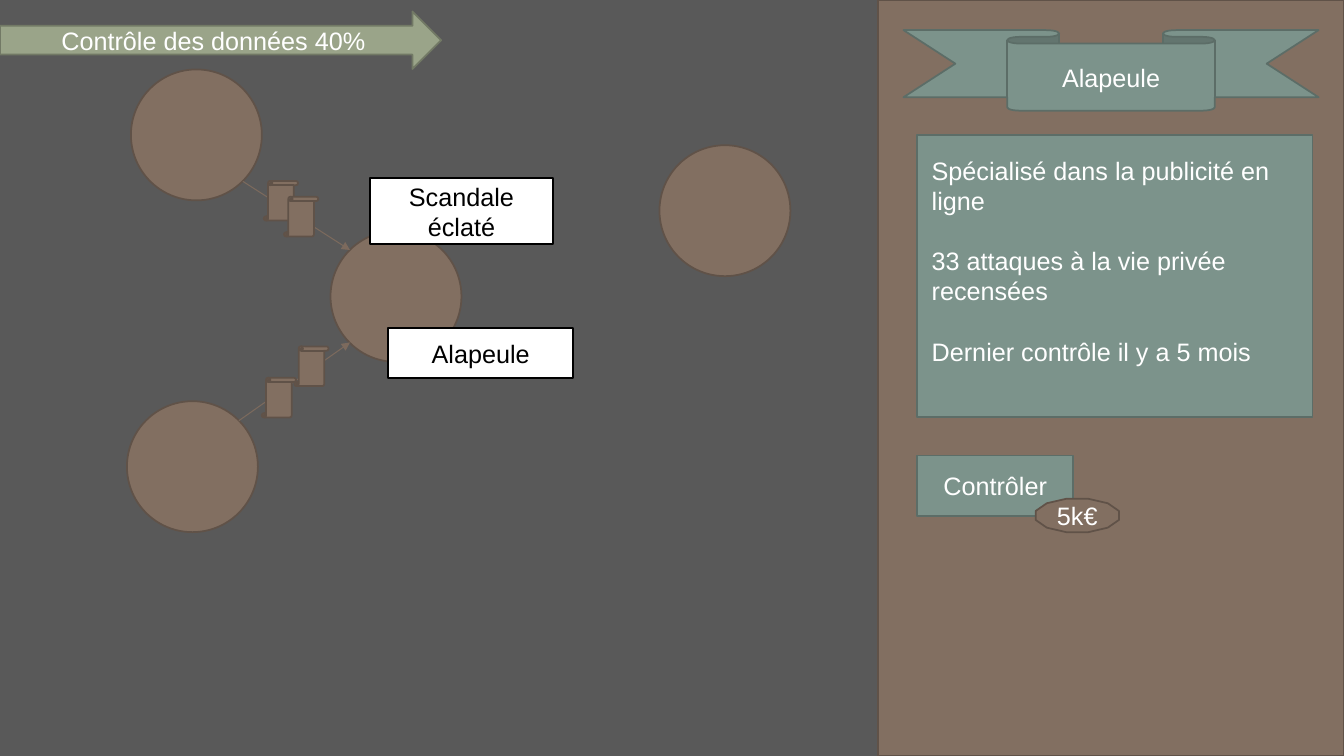
from pptx import Presentation
from pptx.dml.color import RGBColor
from pptx.enum.shapes import MSO_CONNECTOR, MSO_SHAPE
from pptx.enum.text import MSO_ANCHOR, PP_ALIGN
from pptx.oxml.ns import qn
from pptx.util import Cm, Pt
from lxml.etree import SubElement

COLORS = {
    "background": "595959",
    "brown": "826F61",
    "brown_line": "605248",
    "link": "7C6A5D",
    "teal": "7C938B",
    "teal_line": "5C6D67",
    "green": "9AA489",
    "green_line": "727965",
    "white": "FFFFFF",
    "black": "000000",
}


def add_text(para, text, color):
    span = para.add_run()
    span.text = text
    span.font.name = "Arial"
    span.font.size = Pt(18)
    span.font.color.rgb = RGBColor.from_string(COLORS[color])


def add_block(kind, place, fill, line, text="", color="white"):
    """Draw a filled, outlined shape at place (left, top, width, height in cm)."""
    block = slide.shapes.add_shape(kind, *[Cm(length) for length in place])
    block.shadow.inherit = False
    block.fill.solid()
    block.fill.fore_color.rgb = RGBColor.from_string(COLORS[fill])
    block.line.color.rgb = RGBColor.from_string(COLORS[line])
    block.line.width = Pt(1.25)
    if text:
        block.text_frame.vertical_anchor = MSO_ANCHOR.MIDDLE
        para = block.text_frame.paragraphs[0]
        para.alignment = PP_ALIGN.CENTER
        add_text(para, text, color)


deck = Presentation()
deck.slide_width = Cm(33.87)
deck.slide_height = Cm(19.05)
slide = deck.slides.add_slide(deck.slide_layouts[6])
slide.background.fill.solid()
slide.background.fill.fore_color.rgb = RGBColor.from_string(COLORS["background"])

# Companies on the map
for left, top in [(3.3, 1.75), (8.33, 5.82), (3.2, 10.11), (16.62, 3.66)]:
    add_block(MSO_SHAPE.OVAL, (left, top, 3.3, 3.3), "brown", "brown_line")

# Side panel
add_block(MSO_SHAPE.RECTANGLE, (22.13, 0, 11.74, 19.05), "brown", "brown_line")

# Data flows
for start_x, start_y, end_x, end_y in [(6.12, 4.57, 8.82, 6.3), (6.02, 10.6, 8.82, 8.63)]:
    flow = slide.shapes.add_connector(
        MSO_CONNECTOR.STRAIGHT, Cm(start_x), Cm(start_y), Cm(end_x), Cm(end_y))
    flow.line.color.rgb = RGBColor.from_string(COLORS["link"])
    flow.line.width = Pt(0.75)
    SubElement(flow.line._get_or_add_ln(), qn("a:tailEnd"), type="triangle")
    SubElement(flow._element.spPr, qn("a:effectLst"))

# Documents travelling along the flows
for left, top in [(6.6, 9.52), (7.42, 8.73), (6.65, 4.56), (7.16, 4.96)]:
    add_block(MSO_SHAPE.VERTICAL_SCROLL, (left, top, 0.86, 1), "brown", "brown_line")

# Map labels
add_block(MSO_SHAPE.RECTANGLE, (9.32, 4.49, 4.62, 1.66), "white", "black",
          "Scandale éclaté", "black")
add_block(MSO_SHAPE.RECTANGLE, (9.78, 8.26, 4.67, 1.27), "white", "black",
          "Alapeule", "black")

# Company sheet
add_block(MSO_SHAPE.DOWN_RIBBON, (22.77, 0.76, 10.46, 2.03), "teal", "teal_line", "Alapeule")
add_block(MSO_SHAPE.RECTANGLE, (23.11, 3.4, 9.97, 7.11), "teal", "teal_line")
facts_box = slide.shapes.add_textbox(Cm(23.23), Cm(3.78), Cm(10.16), Cm(4.11))
facts_frame = facts_box.text_frame
facts_frame.word_wrap = True
facts = [
    "Spécialisé dans la publicité en ligne",
    "33 attaques à la vie privée recensées",
    "Dernier contrôle il y a 5 mois",
]
for index, fact in enumerate(facts):
    para = facts_frame.add_paragraph() if index else facts_frame.paragraphs[0]
    if index:
        para.space_before = Pt(21.5)
    add_text(para, fact, "white")

# Action button with its price
add_block(MSO_SHAPE.RECTANGLE, (23.11, 11.48, 3.94, 1.52), "teal", "teal_line", "Contrôler")
add_block(MSO_SHAPE.DODECAGON, (26.1, 12.57, 2.1, 0.84), "brown", "brown_line", "5k€")

# Progress arrow
add_block(MSO_SHAPE.RIGHT_ARROW, (0, 0.29, 11.12, 1.45), "green", "green_line",
          "Contrôle des données 40%")

deck.save("out.pptx")
